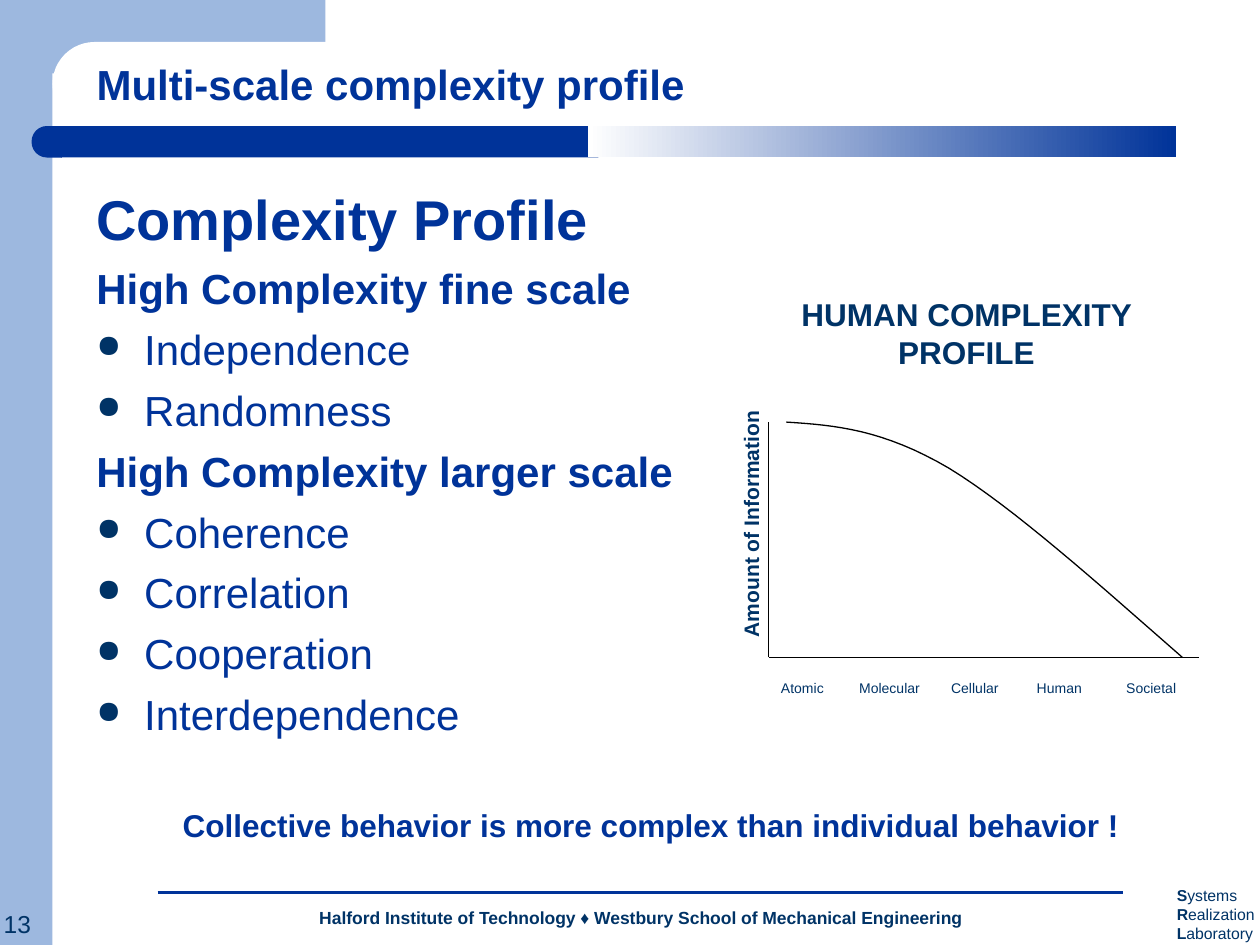
from lxml import etree
from pptx import Presentation
from pptx.dml.color import RGBColor
from pptx.enum.shapes import MSO_CONNECTOR, MSO_SHAPE
from pptx.enum.text import MSO_ANCHOR, PP_ALIGN
from pptx.oxml.ns import qn
from pptx.util import Inches, Pt

RECTANGLE, ROUNDED = MSO_SHAPE.RECTANGLE, MSO_SHAPE.ROUNDED_RECTANGLE
DELAY = MSO_SHAPE.FLOWCHART_DELAY
STRAIGHT = MSO_CONNECTOR.STRAIGHT
LEFT, CENTER = PP_ALIGN.LEFT, PP_ALIGN.CENTER
TOP, BOTTOM = MSO_ANCHOR.TOP, MSO_ANCHOR.BOTTOM

BLUE = RGBColor(0x00, 0x33, 0x99)
NAVY = RGBColor(0x00, 0x33, 0x66)
PALE = RGBColor(0x9D, 0xB8, 0xDF)
WHITE = RGBColor(0xFF, 0xFF, 0xFF)
BLACK = RGBColor(0x00, 0x00, 0x00)

COLUMNS, ROWS = 120, 90  # grid cells of 1/12 inch
HANGING = Inches(0.38)


def add_child(parent, tag, **attributes):
    return etree.SubElement(parent, qn(tag), attributes)


def add_bullet(para):
    properties = para._p.get_or_add_pPr()
    properties.set("marL", str(HANGING))
    properties.set("indent", str(-HANGING))
    color = add_child(properties, "a:buClr")
    add_child(color, "a:srgbClr", val=str(NAVY))
    add_child(properties, "a:buSzPct", val="75000")
    add_child(properties, "a:buChar", char="●")


def add_tabs(para, inches):
    tab_list = add_child(para._p.get_or_add_pPr(), "a:tabLst")
    for position in inches:
        add_child(tab_list, "a:tab", pos=str(Inches(position)), algn="l")


def write(para, text, size=24, color=BLUE, bold=False, align=LEFT,
          before=0, spacing=None, bullet=False):
    """Append a run and format its paragraph."""
    para.alignment = align
    para.space_before = Pt(before)
    if spacing:
        para.line_spacing = spacing
    if bullet:
        add_bullet(para)
    span = para.add_run()
    span.text = text
    span.font.name = "Arial"
    span.font.size = Pt(size)
    span.font.bold = bold
    span.font.color.rgb = color


def bezier(start, first, second, end, steps=16):
    """Points along a cubic curve, without its start."""
    for step in range(1, steps + 1):
        t = step / steps
        u = 1 - t
        yield tuple(u**3 * a + 3 * u * u * t * b + 3 * u * t * t * c + t**3 * d
                    for a, b, c, d in zip(start, first, second, end))


class SlideBuilder:
    """Places elements on a grid; boxes are (column, row, columns, rows)."""

    def __init__(self, deck):
        self.cell_width = deck.slide_width / COLUMNS
        self.cell_height = deck.slide_height / ROWS
        self.page = deck.slides.add_slide(deck.slide_layouts[5])
        self.shapes = self.page.shapes

    def point(self, column, row):
        return round(column * self.cell_width), round(row * self.cell_height)

    def area(self, box):
        return self.point(*box[:2]) + self.point(*box[2:])

    def shape(self, kind, box, color, rounding=None):
        shape = self.shapes.add_shape(kind, *self.area(box))
        shape.shadow.inherit = False
        shape.fill.solid()
        shape.fill.fore_color.rgb = color
        shape.line.fill.background()
        if rounding is not None:
            shape.adjustments[0] = rounding
        return shape

    def gradient_bar(self, box, colors):
        bar = self.shape(RECTANGLE, box, colors[0])
        bar.fill.gradient()
        bar.fill.gradient_angle = 0
        for stop, color in zip(bar.fill.gradient_stops, colors):
            stop.color.rgb = color

    def line(self, start, end, color=BLACK, width=0.75):
        line = self.shapes.add_connector(
            STRAIGHT, *self.point(*start), *self.point(*end))
        line.line.color.rgb = color
        line.line.width = Pt(width)
        add_child(line._element.spPr, "a:effectLst")

    def curve(self, start, *segments):
        points = [start]
        for segment in segments:
            points.extend(bezier(points[-1], *segment))
        builder = self.shapes.build_freeform(*self.point(*start))
        builder.add_line_segments([self.point(*p) for p in points[1:]], close=False)
        curve = builder.convert_to_shape()
        curve.shadow.inherit = False
        curve.fill.background()
        curve.line.color.rgb = BLACK
        curve.line.width = Pt(0.75)

    def text(self, box, text="", rotation=0, wrap=True, **style):
        holder = self.shapes.add_textbox(*self.area(box))
        holder.rotation = rotation
        frame = holder.text_frame
        frame.word_wrap = wrap
        frame.vertical_anchor = TOP
        if text:
            write(frame.paragraphs[0], text, **style)
        return frame

    def title(self, box, text, **style):
        title = self.shapes.title
        title.left, title.top, title.width, title.height = self.area(box)
        title.text_frame.vertical_anchor = BOTTOM
        write(title.text_frame.paragraphs[0], text, **style)
        self.shapes._spTree.append(title._element)  # in front of the backdrop


def next_para(frame):
    first = frame.paragraphs[0]
    return frame.add_paragraph() if first.runs else first


def draw_backdrop(slide):
    slide.shape(RECTANGLE, (0, 0, 5, 90), PALE)
    slide.shape(RECTANGLE, (4, 0, 27, 7), PALE)
    slide.shape(ROUNDED, (5, 4, 70, 8), WHITE, rounding=0.5)
    slide.shape(RECTANGLE, (5.8, 12, 51.2, 3), BLUE)
    slide.shape(DELAY, (3, 12, 2.9, 3), BLUE).rotation = 180
    slide.gradient_bar((56, 12, 56, 3), (WHITE, BLUE))


def draw_footer(slide):
    slide.text((11, 86, 100, 3),
               "Halford Institute of Technology ♦ Westbury School of Mechanical Engineering",
               size=10, color=NAVY, bold=True, align=CENTER, spacing=0.9)
    number = slide.text((0, 86, 5, 4), "13", size=14, color=NAVY)
    number.margin_left = Inches(0.03)
    slide.line((15, 85), (107, 85), BLUE, 2.25)
    laboratory = slide.text((110.9, 83.8, 9.1, 6.2), wrap=False)
    laboratory.margin_right = 0
    for word in ("Systems", "Realization", "Laboratory"):
        para = next_para(laboratory)
        write(para, word[0], size=9, color=NAVY, bold=True)
        write(para, word[1:], size=9, color=NAVY)


def draw_body(slide):
    body = slide.text((8, 17, 108, 66))
    write(body.paragraphs[0], "Complexity Profile", size=32, bold=True, before=8)
    sections = {
        "High Complexity fine scale": ("Independence", "Randomness"),
        "High Complexity larger scale": (
            "Coherence", "Correlation", "Cooperation", "Interdependence"),
    }
    for heading, items in sections.items():
        write(next_para(body), heading, bold=True, before=6)
        for item in items:
            write(next_para(body), item, before=6, bullet=True)
    write(next_para(body),
          "Collective behavior is more complex than individual behavior !",
          size=18, bold=True, align=CENTER, before=38)


def draw_profile(slide):
    left, top, bottom = 73.2, 40.2, 62.6
    slide.text((left, 27.5, 37.7, 8.4), "HUMAN COMPLEXITY PROFILE",
               size=18, color=NAVY, bold=True, align=CENTER)
    slide.line((left, top), (left, bottom))
    slide.line((left, bottom), (114.2, bottom))
    slide.curve((74.9, top),
                ((79.6, 40.5), (84.1, 40.9), (90.4, 44.6)),
                ((96.6, 48.4), (104.6, 55.6), (112.6, bottom)))
    scales = ("Atomic", "Molecular", "Cellular", "Human", "Societal")
    labels = slide.text((left, 64.1, 42.7, 4.4))
    write(labels.paragraphs[0], "\t".join(scales), size=8, color=NAVY)
    add_tabs(labels.paragraphs[0], (0.62, 1.35, 2.03, 2.74))
    slide.text((57.4, 48.1, 28.2, 3.6), "Amount of Information", rotation=270,
               size=12, color=NAVY, bold=True, align=CENTER)


def main():
    deck = Presentation()
    deck.slide_width, deck.slide_height = Inches(10), Inches(7.5)
    slide = SlideBuilder(deck)
    draw_backdrop(slide)
    draw_footer(slide)
    slide.title((8, 4, 105, 7), "Multi-scale complexity profile",
                bold=True, spacing=0.9)
    draw_body(slide)
    draw_profile(slide)
    deck.save("out.pptx")


if __name__ == "__main__":
    main()
